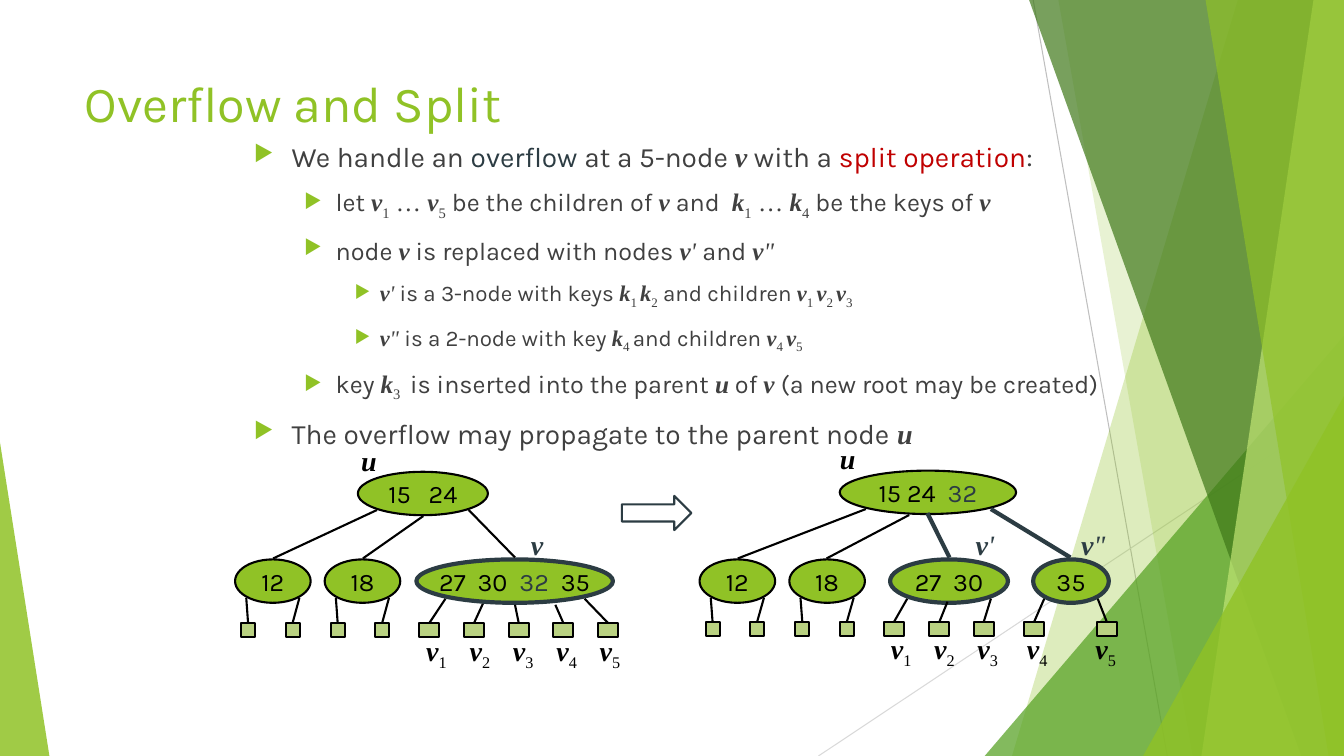
from dataclasses import dataclass
from lxml.etree import SubElement
from pptx import Presentation
from pptx.dml.color import RGBColor
from pptx.enum.shapes import MSO_CONNECTOR as Link, MSO_SHAPE as Shape
from pptx.enum.text import MSO_ANCHOR as Anchor, MSO_AUTO_SIZE as AutoSize, PP_ALIGN as Align
from pptx.oxml.ns import qn
from pptx.util import Pt


@dataclass(frozen=True)
class Theme:
    sans: str = "Karla"
    serif: str = "Times New Roman"
    green: str = "90C226"
    leaf: str = "B9D181"
    slate: str = "2C3C43"
    red: str = "C00000"
    grey: str = "404040"
    black: str = "000000"
    title_size: int = 36
    level_sizes: tuple = (20, 18, 16)
    key_size: int = 18
    label_size: int = 20
    thin: float = 1.5
    thick: float = 3


THEME = Theme()
WIDTH, HEIGHT = 960, 540

# Content. Pieces of a line are split by "|"; the first character sets the style:
# * variable, _ subscript, ^ italic serif, = plain serif, ~ slate, ! red
TITLE = "Overflow and Split"
BODY = [
    (0, "We handle an |~overflow| at a 5-node |*v| with a |!split operation|:"),
    (1, "let |*v|_1|= … |*v|_5| be the children of |*v| and  |*k|_1|= … |*k|_4"
        "| be the keys of |*v"),
    (1, "node |*v| is replaced with nodes |*v|^' |and |*v|^\""),
    (2, "*v|^'| is a 3-node with keys |*k|_1 |*k|_2| and children |*v|_1 |*v|_2 |*v|_3"),
    (2, "*v|^\"| is a 2-node with key |*k|_4 |and children |*v|_4 |*v|_5"),
    (1, "key |*k|_3 | is inserted into the parent |*u| of |*v |(a new root may be created)"),
    (0, "The overflow may propagate to the parent node |*u"),
]
LEVEL_INDENTS = [(27, 27), (58.5, 22.5), (90, 18)]  # text margin, hanging bullet

# Trees: nodes are (text, x, y, width, is_split); edges are (x1, y1, x2, y2, is_split)
TREES = [
    dict(
        small_nodes=[("12", 167.9), ("18", 231.9)],
        nodes=[("15   24", 255.6, 337, 92.9, False),
               ("27  30  |~32|  35", 297.4, 399.6, 140.4, True)],
        edges=[(269.3, 364.3, 195.1, 398.9, False), (302.4, 368.6, 259.2, 398.9, False),
               (334.8, 364.3, 367.9, 398.2, False)],
        leaf_top=445, leaves=[299.5 + 31.9 * i for i in range(5)],
        stems=[(318.2, 427.7), (344.9, 431.3), (367.9, 432), (396.7, 432), (417.6, 427.7)],
        caption_top=449.3, captions=[291.6 + 31 * i for i in range(5)],
        labels=[("*u", 250.6, 313.2, 25.9, THEME.black), ("*v", 372.2, 373, 23, THEME.slate)],
    ),
    dict(
        small_nodes=[("12", 499.7), ("18", 563.8)],
        nodes=[("15 24  |~32", 599.8, 336.2, 126, False),
               ("27  30", 635.8, 399.6, 84.2, True), ("35", 738, 399.6, 54, True)],
        edges=[(618.5, 363.6, 527, 398.9, False), (649.4, 367.9, 590.4, 398.9, False),
               (662.4, 366.5, 678.2, 398.2, True), (707.8, 363.6, 764.6, 398.2, True)],
        leaf_top=444.2, leaves=[631.4, 663.8, 695.5, 731.5, 783.4],
        stems=[(648, 427.7), (676.8, 429.8), (707.8, 427.7), (745.9, 427.7), (784.1, 427.7)],
        caption_top=447.8, captions=[623.5, 654.5, 685.4, 720.7, 769.7],
        labels=[("*u", 592.6, 311.8, 25.9, THEME.black),
                ("*v|^'", 689.8, 373, 27.4, THEME.slate),
                ("*v|^\"", 761.8, 373, 38.2, THEME.slate)],
    ),
]
NODE_TOP, NODE_HEIGHT, SMALL_WIDTH = 399.6, 31, 54
SMALL_LEAVES = [(4.3, 8), (36.1, 46)]  # leaf x and stem top x, from the node's left
LEAF_HEIGHT, LEAF_WIDTH, SMALL_LEAF = 10, 14.4, 10

# Backdrop: slices are (top x, bottom x), peaks are (left, top, width, apex)
HAIRLINES = [(738, 0, 833.8, HEIGHT, "BFBFBF"), (WIDTH, 290.2, 584.6, HEIGHT, "D9D9D9")]
FACETS = [
    ((884.2, 722.9), "90C226", 30),
    ((756, 851.8), "90C226", 20),
    ((703.4, 239.8, 256.6, 1), "54A021", 72),
    ((735.1, 929.5), "3F7819", 70),
    ((938.2, 858.2), "C0E474", 70),
    ((861.1, 949), "90C226", 65),
    ((816.5, 283, 143.5, 1), "90C226", 80),
    ((0, 316.1, 35.3, 0), "90C226", 85),
]

deck = Presentation()
deck.slide_width, deck.slide_height = Pt(WIDTH), Pt(HEIGHT)
page = deck.slides.add_slide(deck.slide_layouts[5])
shapes = page.shapes


def rgb(color):
    return RGBColor.from_string(color)


def write(para, markup, size, color):
    for piece in markup.split("|"):
        style = piece[0] if piece[0] in "*_^=~!" else ""
        span = para.add_run()
        span.text = piece[len(style):]
        font = span.font
        font.size = Pt(size)
        font.name = THEME.serif if style and style in "*_^=" else THEME.sans
        font.bold, font.italic = style == "*", style in ("*", "^")
        font.color.rgb = rgb({"~": THEME.slate, "!": THEME.red}.get(style, color))
        if style == "_":
            font._element.set("baseline", "-25000")


def draw_line(x1, y1, x2, y2, color=THEME.black, weight=THEME.thin):
    line = shapes.add_connector(Link.STRAIGHT, Pt(x1), Pt(y1), Pt(x2), Pt(y2))
    line.line.color.rgb, line.line.width = rgb(color), Pt(weight)
    SubElement(line.element.spPr, qn("a:effectLst"))


def draw_shape(kind, x, y, width, height, fill=None, color=THEME.black, weight=THEME.thin):
    shape = shapes.add_shape(kind, Pt(x), Pt(y), Pt(width), Pt(height))
    shape.shadow.inherit = False
    if fill:
        shape.fill.solid()
        shape.fill.fore_color.rgb = rgb(fill)
    else:
        shape.fill.background()
    shape.line.color.rgb, shape.line.width = rgb(color), Pt(weight)
    return shape


def draw_node(markup, x, y, width, is_split=False):
    border = (THEME.slate, THEME.thick) if is_split else (THEME.black, THEME.thin)
    node = draw_shape(Shape.OVAL, x, y, width, NODE_HEIGHT, THEME.green, *border)
    node.text_frame.word_wrap = False
    node.text_frame.vertical_anchor = Anchor.MIDDLE
    para = node.text_frame.paragraphs[0]
    para.alignment = Align.CENTER
    write(para, markup, THEME.key_size, THEME.black)


def draw_leaf(x, y, width, stem_x, stem_y):
    draw_shape(Shape.RECTANGLE, x, y, width, LEAF_HEIGHT, THEME.leaf)
    draw_line(x + width / 2, y, stem_x, stem_y)


def draw_label(markup, x, y, width, color):
    box = shapes.add_textbox(Pt(x), Pt(y), Pt(width), Pt(NODE_HEIGHT))
    box.text_frame.word_wrap = False
    para = box.text_frame.paragraphs[0]
    para.alignment = Align.CENTER
    write(para, markup, THEME.label_size, color)


# Backdrop
for *ends, color in HAIRLINES:
    draw_line(*ends, color, 0.75)
for outline, color, opacity in FACETS:
    if len(outline) == 2:
        top_x, bottom_x = outline
        builder = shapes.build_freeform(Pt(top_x), Pt(0))
        corners = [(WIDTH, 0), (WIDTH, HEIGHT), (bottom_x, HEIGHT)]
        builder.add_line_segments([(Pt(x), Pt(y)) for x, y in corners])
        facet = builder.convert_to_shape()
    else:
        left, top, width, apex = outline
        facet = draw_shape(Shape.ISOSCELES_TRIANGLE, left, top, width, HEIGHT - top)
        facet.adjustments[0] = apex
    facet.shadow.inherit = False
    facet.line.fill.background()
    facet.fill.solid()
    facet.fill.fore_color.rgb = rgb(color)
    tint = next(facet.element.iter(qn("a:srgbClr")))
    SubElement(tint, qn("a:alpha"), val=str(opacity * 1000))

# Title, in front of the backdrop
title = shapes.title
title.left, title.top, title.width, title.height = Pt(53.3), Pt(48.2), Pt(676.8), Pt(103.7)
title.text_frame.text = TITLE
title.text_frame.auto_size = AutoSize.NONE
title.text_frame.vertical_anchor = Anchor.TOP
heading = title.text_frame.paragraphs[0]
heading.alignment = Align.LEFT
heading_font = heading.runs[0].font
heading_font.name, heading_font.size = THEME.sans, Pt(THEME.title_size)
heading_font.color.rgb = rgb(THEME.green)
shapes.element.append(title.element)

# Bulleted text
frame = shapes.add_textbox(Pt(174.2), Pt(95.8), Pt(630), Pt(213.8)).text_frame
frame.word_wrap = True
for number, (level, markup) in enumerate(BODY):
    para = frame.add_paragraph() if number else frame.paragraphs[0]
    para.level = level
    para.space_before = Pt(10 if number else 0)
    margin, hanging = LEVEL_INDENTS[level]
    props = para._p.get_or_add_pPr()
    props.set("marL", str(Pt(margin)))
    props.set("indent", str(-Pt(hanging)))
    SubElement(SubElement(props, qn("a:buClr")), qn("a:srgbClr"), val=THEME.green)
    SubElement(props, qn("a:buSzPct"), val="80000")
    SubElement(props, qn("a:buChar"), char="▶")
    write(para, markup, THEME.level_sizes[level], THEME.grey)

# Trees before and after the split
for tree in TREES:
    leaf_top = tree["leaf_top"]
    for key, x in tree["small_nodes"]:
        draw_node(key, x, NODE_TOP, SMALL_WIDTH)
        for leaf_x, stem_x in SMALL_LEAVES:
            draw_leaf(x + leaf_x, leaf_top, SMALL_LEAF, x + stem_x, 427)
    for node in tree["nodes"]:
        draw_node(*node)
    for *ends, is_split in tree["edges"]:
        draw_line(*ends, *((THEME.slate, THEME.thick) if is_split else ()))
    children = zip(tree["leaves"], tree["stems"], tree["captions"])
    for number, (x, stem, caption_x) in enumerate(children, 1):
        draw_leaf(x, leaf_top, LEAF_WIDTH, *stem)
        draw_label(f"*v|_{number}", caption_x, tree["caption_top"], 40.3, THEME.black)
    for label in tree["labels"]:
        draw_label(*label)

# Arrow between the trees
draw_shape(Shape.RIGHT_ARROW, 444.2, 354.2, 49.7, 24.5, color=THEME.slate)

deck.save("out.pptx")
